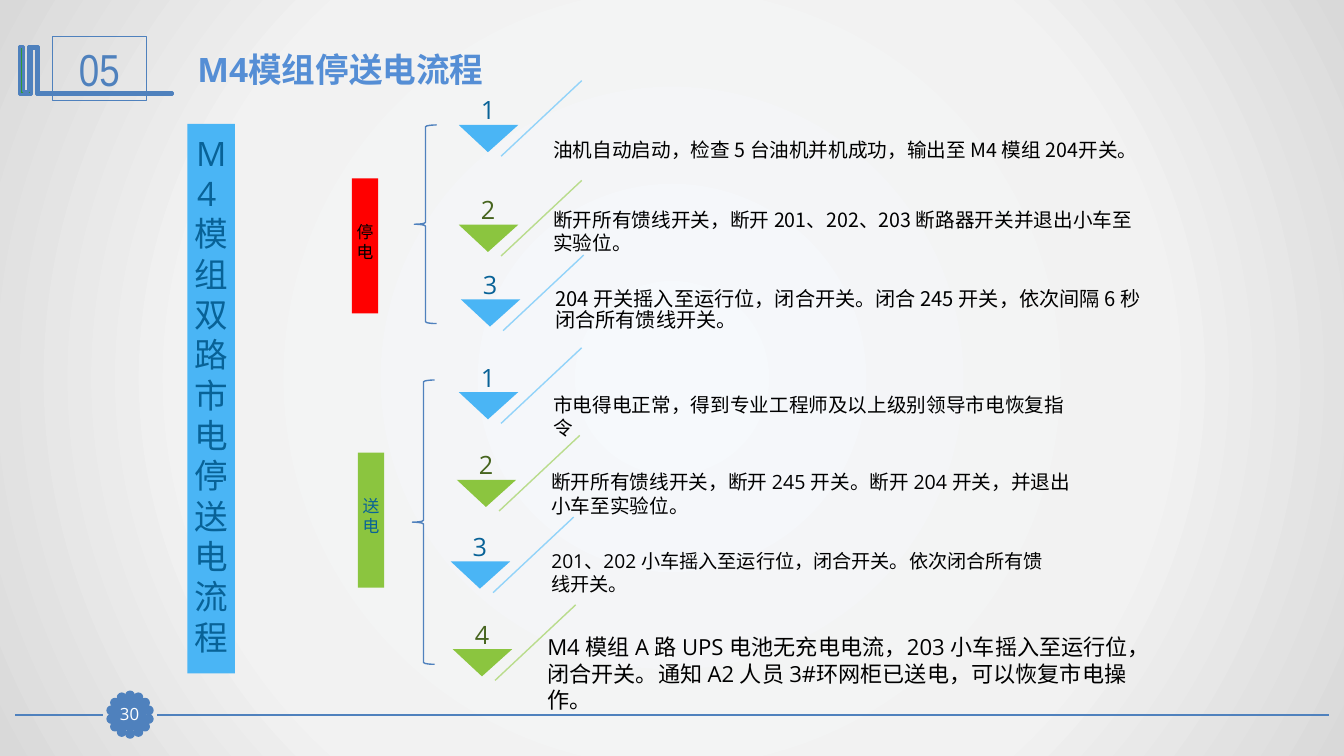
import math
from lxml import etree
from pptx import Presentation
from pptx.dml.color import RGBColor
from pptx.enum.shapes import MSO_CONNECTOR, MSO_SHAPE
from pptx.enum.text import MSO_ANCHOR, PP_ALIGN
from pptx.oxml import parse_xml
from pptx.oxml.ns import qn
from pptx.util import Inches, Pt

LEFT, CENTER = PP_ALIGN.LEFT, PP_ALIGN.CENTER
MIDDLE, BOTTOM, TOP = MSO_ANCHOR.MIDDLE, MSO_ANCHOR.BOTTOM, MSO_ANCHOR.TOP
RECTANGLE, OVAL, LEFT_BRACE = MSO_SHAPE.RECTANGLE, MSO_SHAPE.OVAL, MSO_SHAPE.LEFT_BRACE
STRAIGHT = MSO_CONNECTOR.STRAIGHT
OPEN_SANS, NOTO, NARROW = "Open Sans", "Noto Sans CJK SC", "Arial Narrow"

FRAME_BLUE = RGBColor(0x4F, 0x81, 0xBD)
TITLE_BLUE = RGBColor(0x55, 0x8E, 0xD5)
SKY = RGBColor(0x4A, 0xB5, 0xF5)
PALE_SKY = RGBColor(0x92, 0xD3, 0xF9)
DEEP_BLUE = RGBColor(0x08, 0x62, 0x97)
GREEN = RGBColor(0x8B, 0xC5, 0x3F)
PALE_GREEN = RGBColor(0xB9, 0xDC, 0x8C)
DEEP_GREEN = RGBColor(0x46, 0x64, 0x1E)
MARK_GREEN = RGBColor(0x33, 0x99, 0x33)
RED = RGBColor(0xFF, 0x00, 0x00)
BLACK = RGBColor(0x00, 0x00, 0x00)
WHITE = RGBColor(0xFF, 0xFF, 0xFF)

presentation = Presentation()
presentation.slide_width = Inches(13.33)
presentation.slide_height = Inches(7.5)
slide = presentation.slides.add_slide(presentation.slide_layouts[6])
shapes = slide.shapes


def add_text(box, lines, size, color, font=OPEN_SANS, bold=False, align=LEFT,
             anchor=MIDDLE, insets=None, spacing=None, fill=None, line=None):
    """Add a text box, or a rectangle when a fill or line is given."""
    box = [Inches(length) for length in box]
    if fill or line:
        shape = shapes.add_shape(RECTANGLE, *box)
        shape.shadow.inherit = False
    else:
        shape = shapes.add_textbox(*box)
    if fill:
        shape.fill.solid()
        shape.fill.fore_color.rgb = fill
    else:
        shape.fill.background()
    if line:
        shape.line.color.rgb = line
        shape.line.width = Pt(0.75)
    else:
        shape.line.fill.background()
    frame = shape.text_frame
    frame.word_wrap = True
    frame.vertical_anchor = anchor
    if insets:
        (frame.margin_left, frame.margin_top, frame.margin_right,
         frame.margin_bottom) = [Inches(inset) for inset in insets]
    for index, text in enumerate(lines):
        paragraph = frame.add_paragraph() if index else frame.paragraphs[0]
        paragraph.alignment = align
        paragraph.line_spacing = spacing
        run = paragraph.add_run()
        run.text = text
        run.font.size, run.font.bold, run.font.name = Pt(size), bold, font
        run.font.color.rgb = color


def add_line(x1, y1, x2, y2, color, width):
    connector = shapes.add_connector(
        STRAIGHT, Inches(x1), Inches(y1), Inches(x2), Inches(y2))
    connector.line.color.rgb = color
    connector.line.width = Pt(width)
    etree.SubElement(connector.element.spPr, qn("a:effectLst"))


# Background: radial gradient from the centre
slide.background.fill.solid()
background = slide.background.fill._xPr
background.replace(background.find(qn("a:solidFill")), parse_xml(
    '<a:gradFill xmlns:a="http://schemas.openxmlformats.org/drawingml/2006/main" rotWithShape="1">'
    '<a:gsLst><a:gs pos="0"><a:srgbClr val="F6F9FC"/></a:gs>'
    '<a:gs pos="63000"><a:srgbClr val="F2F2F2"/></a:gs>'
    '<a:gs pos="100000"><a:srgbClr val="D9D9D9"/></a:gs></a:gsLst>'
    '<a:path path="circle"><a:fillToRect l="50000" t="50000" r="50000" b="50000"/></a:path>'
    '</a:gradFill>'))

# Footer rule and scalloped page-number badge
add_line(13.18, 7.09, 1.56, 7.09, FRAME_BLUE, 1.25)
add_line(1.02, 7.09, 0.15, 7.09, FRAME_BLUE, 1.25)
DOTS, DOT_SIZE, BADGE_RADIUS = 14, 0.07, 0.19
for index in range(DOTS):
    angle = 2 * math.pi * index / DOTS
    dot = shapes.add_shape(
        OVAL,
        Inches(1.29 + BADGE_RADIUS * math.sin(angle) - DOT_SIZE / 2),
        Inches(7.09 - BADGE_RADIUS * math.cos(angle) - DOT_SIZE / 2),
        Inches(DOT_SIZE), Inches(DOT_SIZE))
    dot.shadow.inherit = False
    dot.fill.solid()
    dot.fill.fore_color.rgb = FRAME_BLUE
    dot.line.color.rgb = FRAME_BLUE
    dot.line.width = Pt(2)
add_text((1.13, 6.93, 0.31, 0.31), ["30"], 12, WHITE, align=CENTER,
         insets=(0, 0, 0, 0), fill=FRAME_BLUE, line=FRAME_BLUE)

# Section number and title
add_text((0.52, 0.36, 0.93, 0.64), ["05"], 32, FRAME_BLUE, font=NARROW,
         align=CENTER, line=FRAME_BLUE)
add_text((1.86, 0.44, 9.69, 0.5), ["M4模组停送电流程"], 24, TITLE_BLUE,
         bold=True, anchor=TOP)

# Vertical labels
LABELS = [
    ((1.86, 1.23, 0.47, 5.45), ["M4 ", "模组 双 路市电停送电流程"], 24, DEEP_BLUE, SKY),
    ((3.49, 1.77, 0.26, 1.34), ["停电"], 12, BLACK, RED),
    ((3.55, 4.49, 0.26, 1.34), ["送电"], 12, DEEP_BLUE, GREEN),
]
for box, lines, size, color, fill in LABELS:
    add_text(box, lines, size, color, align=CENTER, insets=(0, 0, 0, 0.08), fill=fill)

# Braces around the two step groups
for box in [(4.11, 1.24, 0.22, 1.97), (4.09, 3.77, 0.22, 2.82)]:
    brace = shapes.add_shape(LEFT_BRACE, *[Inches(length) for length in box])
    brace.shadow.inherit = False
    brace.fill.background()
    brace.line.color.rgb = FRAME_BLUE
    brace.line.width = Pt(1)

# Steps: number, triangle corner (x, y), text box, lines, size, font, line spacing
STEPS = [
    (1, 4.55, 1.24, (5.39, 1.14, 6.07, 0.68),
     ["油机自动启动，检查 5 台油机并机成功，输出至 M4 模组 204开关。"], 14, NOTO, None),
    (2, 4.55, 2.23, (5.39, 1.88, 6.07, 0.83),
     ["断开所有馈线开关，断开 201、202、203 断路器开关并退出小车至实验位。"], 14, NOTO, None),
    (3, 4.57, 2.97, (5.41, 2.8, 6.07, 0.56),
     ["204 开关摇入至运行位，闭合开关。闭合 245 开关，依次间隔 6 秒闭合所有馈线开关。"],
     14.4, NOTO, 0.9),
    (1, 4.55, 3.89, (5.39, 3.79, 6.07, 0.68),
     ["市电得电正常，得到专业工程师及以上级别领导市电恢复指", "令"], 14, OPEN_SANS, None),
    (2, 4.53, 4.76, (5.37, 4.47, 6.07, 0.86),
     ["断开所有馈线开关，断开 245 开关。断开 204 开关，并退出", "小车至实验位。"],
     14, OPEN_SANS, None),
    (3, 4.47, 5.57, (5.37, 5.4, 6.01, 0.56),
     ["201、202 小车摇入至运行位，闭合开关。依次闭合所有馈", "线开关。"],
     13.7, OPEN_SANS, None),
    (4, 4.49, 6.44, (5.33, 6.34, 6.1, 0.68),
     ["M4 模组 A 路 UPS 电池无充电电流，203 小车摇入至运行位，闭合开关。"
      "通知 A2 人员 3#环网柜已送电，可以恢复市电操作。"], 15.8, OPEN_SANS, None),
]
# Outlines: points, fill, line; the section mark first, then one triangle per step
outlines = [
    ([(0.37, 0.46), (0.38, 0.46), (0.38, 0.92), (1.71, 0.92), (1.71, 0.94),
      (0.36, 0.94), (0.36, 0.48), (0.31, 0.48), (0.31, 0.94), (0.19, 0.94),
      (0.19, 0.46), (0.23, 0.46), (0.23, 0.91), (0.28, 0.91), (0.28, 0.46)],
     MARK_GREEN, FRAME_BLUE)]
for number, x, y, box, lines, size, font, spacing in STEPS:
    if number % 2:
        fill, slash_color, number_color = SKY, PALE_SKY, DEEP_BLUE
    else:
        fill, slash_color, number_color = GREEN, PALE_GREEN, DEEP_GREEN
    add_line(x + 1.22, y - 0.44, x + 0.42, y + 0.31, slash_color, 1)
    outlines.append(([(x, y), (x + 0.59, y), (x + 0.29, y + 0.27)], fill, None))
    add_text(box, lines, size, BLACK, font=font, spacing=spacing)
    add_text((x - 0.02, y - 0.6, 0.62, 0.6), [str(number)], 18, number_color,
             align=CENTER, anchor=BOTTOM, insets=(0, 0, 0, 0))

# Draw the outlines in EMU, since freeform points are whole numbers
for points, fill, line in outlines:
    corners = [(Inches(x), Inches(y)) for x, y in points]
    builder = shapes.build_freeform(*corners[0])
    builder.add_line_segments(corners[1:], close=True)
    outline = builder.convert_to_shape()
    outline.shadow.inherit = False
    outline.fill.solid()
    outline.fill.fore_color.rgb = fill
    if line:
        outline.line.color.rgb = line
        outline.line.width = Pt(2)
    else:
        outline.line.fill.background()

presentation.save("out.pptx")
